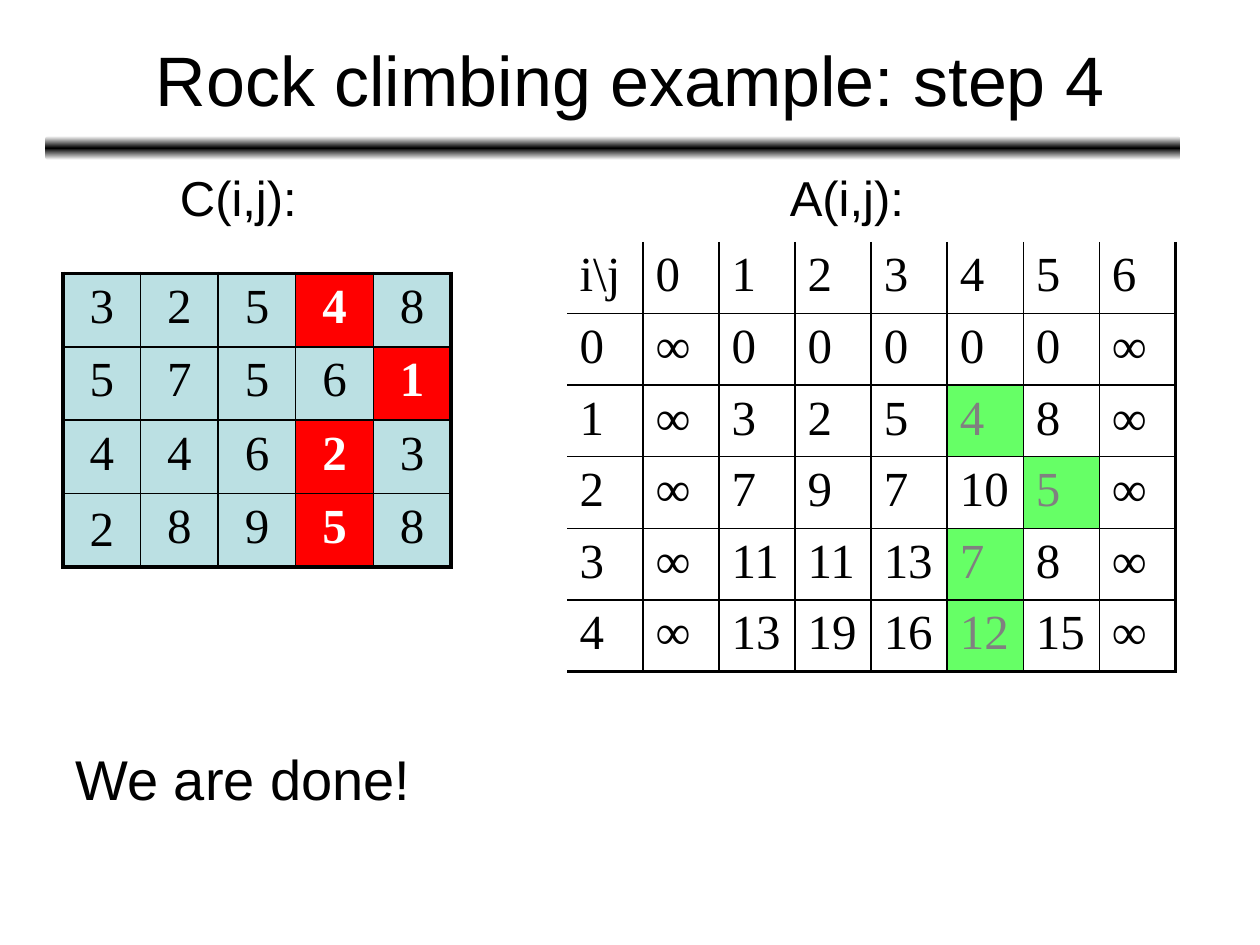
from copy import deepcopy

from lxml import etree
from pptx import Presentation
from pptx import util as u
from pptx.dml import color
from pptx.enum import shapes, text
from pptx.oxml import ns

COSTS = ["3 2 5 4 8", "5 7 5 6 1", "4 4 6 2 3", "2 8 9 5 8"]
COST_PATH = {(0, 3), (1, 4), (2, 3), (3, 3)}
TOTALS = [
    r"i\j 0 1 2 3 4 5 6",
    "0 ∞ 0 0 0 0 0 ∞",
    "1 ∞ 3 2 5 4 8 ∞",
    "2 ∞ 7 9 7 10 5 ∞",
    "3 ∞ 11 11 13 7 8 ∞",
    "4 ∞ 13 19 16 12 15 ∞",
]
TOTAL_PATH = {(2, 5), (3, 6), (4, 5), (5, 5)}
THIN, THICK = 1, 2.25


def rgb(code):
    return color.RGBColor.from_string(code)


def set_font(para, name, size, code="000000", bold=False):
    para.font.name = name
    para.font.size = u.Pt(size)
    para.font.bold = bold
    para.font.color.rgb = rgb(code)


def add_label(page, wording, place, size, align=text.PP_ALIGN.LEFT,
              anchor=text.MSO_ANCHOR.TOP, spacing=0.9):
    box = page.shapes.add_textbox(*map(u.Inches, place))
    box.text_frame.word_wrap = True
    box.text_frame.vertical_anchor = anchor
    para = box.text_frame.paragraphs[0]
    para.text = wording
    para.alignment = align
    para.line_spacing = spacing
    set_font(para, "Arial", size)


def add_rule(page, place):
    bar = page.shapes.add_shape(
        shapes.MSO_SHAPE.ROUNDED_RECTANGLE, *map(u.Inches, place))
    bar.shadow.inherit = False
    bar.line.fill.background()
    bar.fill.gradient()
    bar.fill.gradient_angle = 90
    stop_list = bar._element.spPr.find(".//" + ns.qn("a:gsLst"))
    stop_list.insert(1, deepcopy(stop_list[0]))
    stops = zip(bar.fill.gradient_stops, (0, 0.5, 1), ("FFFFFF", "000000", "FFFFFF"))
    for stop, position, code in stops:
        stop.position = position
        stop.color.rgb = rgb(code)


def add_border(cell, side, width):
    line = etree.SubElement(
        cell._tc.get_or_add_tcPr(), ns.qn("a:ln" + side), w=str(u.Pt(width)))
    if not width:
        etree.SubElement(line, ns.qn("a:noFill"))
        return
    fill = etree.SubElement(line, ns.qn("a:solidFill"))
    etree.SubElement(fill, ns.qn("a:srgbClr"), val="000000")


def add_grid(page, rows, place, path, path_style, fill, align, edge):
    values = [row.split() for row in rows]
    last_row, last_column = len(values) - 1, len(values[0]) - 1
    table = page.shapes.add_table(
        last_row + 1, last_column + 1, *map(u.Inches, place)).table
    table.first_row = table.horz_banding = False
    for row, line in enumerate(values):
        for column, value in enumerate(line):
            cell = table.cell(row, column)
            borders = {
                "L": THIN if column else edge,
                "R": THIN if column < last_column else THICK,
                "T": THIN if row else edge,
                "B": THIN if row < last_row else THICK,
            }
            for side, width in borders.items():
                add_border(cell, side, width)
            on_path = (row, column) in path
            cell_fill, ink, bold = path_style if on_path else (fill, "000000", False)
            if cell_fill:
                cell.fill.solid()
                cell.fill.fore_color.rgb = rgb(cell_fill)
            else:
                cell.fill.background()
            para = cell.text_frame.paragraphs[0]
            para.text = value
            para.alignment = align
            set_font(para, "Times New Roman", 28, ink, bold)
    return table


def main():
    deck = Presentation()
    deck.slide_width, deck.slide_height = u.Inches(10), u.Inches(7.5)
    page = deck.slides.add_slide(deck.slide_layouts[6])
    add_rule(page, (0.36, 1.08, 9.01, 0.19))
    add_label(page, "Rock climbing example: step 4", (0.75, 0, 8.5, 1.25), 40,
              text.PP_ALIGN.CENTER, text.MSO_ANCHOR.MIDDLE, 1.0)
    costs = add_grid(page, COSTS, (0.5, 2.17, 3.08, 2.33), COST_PATH,
                     ("FF0000", "FFFFFF", True), "BBE0E3",
                     text.PP_ALIGN.CENTER, THICK)
    costs.cell(3, 0).vertical_anchor = text.MSO_ANCHOR.MIDDLE
    add_label(page, "C(i,j):", (1.33, 1.33, 1.14, 0.52), 28)
    add_label(page, "A(i,j):", (6.17, 1.33, 1.16, 0.52), 28)
    add_label(page, "We are done!", (0.5, 5.92, 8.76, 0.58), 32)
    add_grid(page, TOTALS, (4.5, 1.92, 4.83, 3.41), TOTAL_PATH,
             ("66FF66", "808080", False), None, text.PP_ALIGN.LEFT, 0)
    deck.save("out.pptx")


if __name__ == "__main__":
    main()
